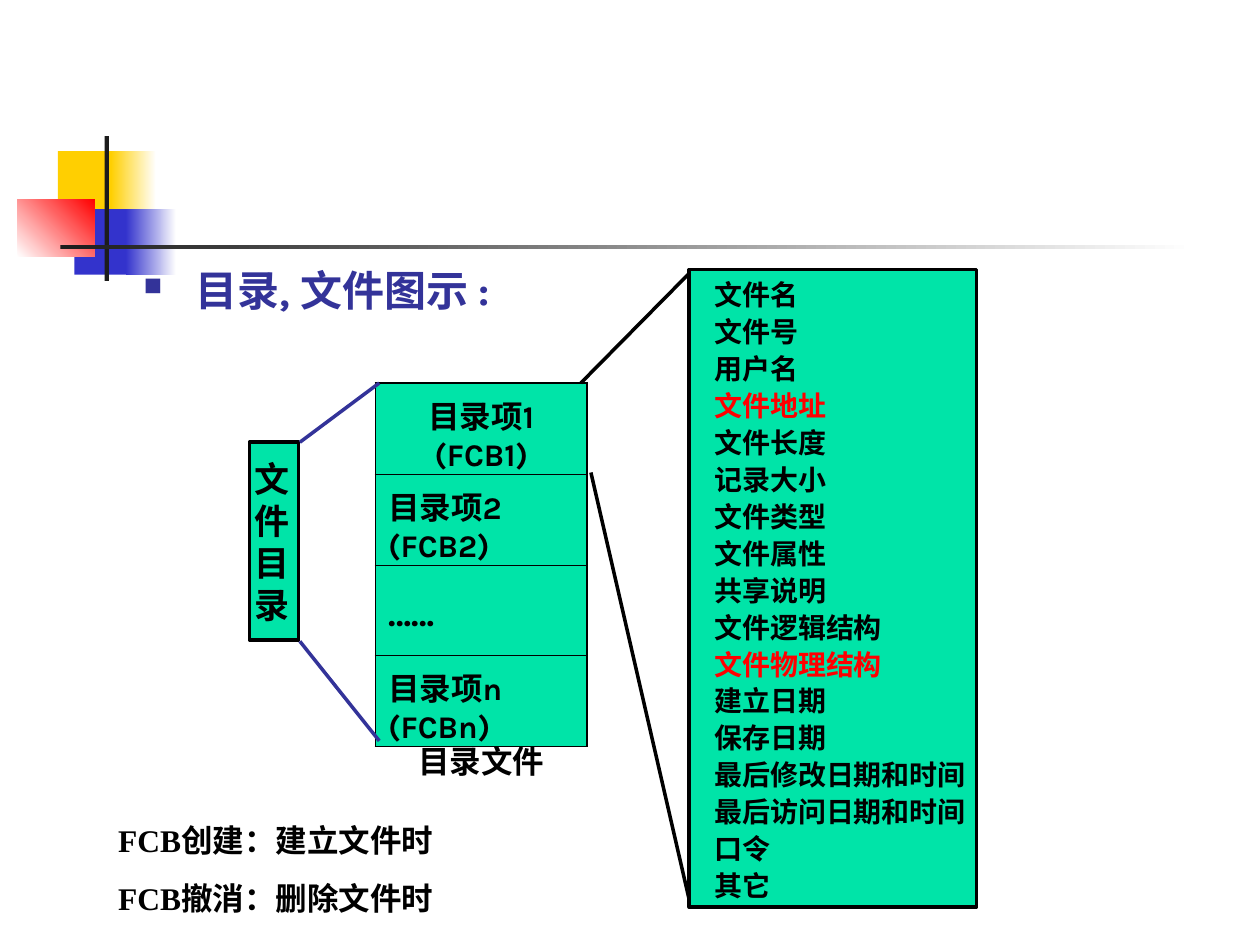
"""Build a slide on how a file directory holds its file control blocks."""
import pptx
import pptx.dml.color
import pptx.enum.shapes
import pptx.enum.text
import pptx.oxml
import pptx.oxml.ns
import pptx.util

RGB = pptx.dml.color.RGBColor
BLACK = RGB(0, 0, 0)
WHITE = RGB(255, 255, 255)
RED = RGB(255, 0, 0)
GREEN = RGB(0x00, 0xE4, 0xA8)
NAVY = RGB(0x33, 0x33, 0x99)
BLUE = RGB(0x33, 0x33, 0xCC)
GOLD = RGB(0xFF, 0xCF, 0x01)
DARK = RGB(0x1C, 0x1C, 0x1C)

ALIGN = pptx.enum.text.PP_ALIGN
ANCHOR = pptx.enum.text.MSO_ANCHOR
COLS, ROWS = 100, 75


class Sheet:
    """Hold the style and the current slide, placed on a 100 by 75 grid."""

    def __init__(self, deck):
        self.slide = deck.slides.add_slide(deck.slide_layouts[6])
        self.wide, self.high = deck.slide_width, deck.slide_height
        self.font, self.size = "Karla", 18

    def place(self, x, y, w, h):
        return self.col(x), self.row(y), self.col(w), self.row(h)

    def col(self, count):
        return round(self.wide * count / COLS)

    def row(self, count):
        return round(self.high * count / ROWS)

    def node(self, xml):
        return pptx.oxml.parse_xml(xml.replace(">", " " + pptx.oxml.ns.nsdecls("a") + ">", 1))

    def rect(self, spot, fill, blend=None, angle=0, edge=None):
        kind = pptx.enum.shapes.MSO_SHAPE.RECTANGLE
        shape = self.slide.shapes.add_shape(kind, *self.place(*spot))
        shape.shadow.inherit = False
        if blend is None:
            shape.fill.solid()
            shape.fill.fore_color.rgb = fill
        else:
            shape.fill.gradient()
            shape.fill.gradient_angle = angle
            for stop, color in zip(shape.fill.gradient_stops, (fill, blend)):
                stop.color.rgb = color
        if edge is None:
            shape.line.fill.background()
        else:
            shape.line.color.rgb = edge
            shape.line.width = pptx.util.Pt(2)
        return shape

    def label(self, spot):
        return self.slide.shapes.add_textbox(*self.place(*spot))

    def frame(self, shape, pad, anchor=ANCHOR.TOP):
        frame = shape.text_frame
        frame.word_wrap = True
        frame.vertical_anchor = anchor
        frame.margin_left, frame.margin_right = self.col(pad[0]), self.col(pad[2])
        frame.margin_top, frame.margin_bottom = self.row(pad[1]), self.row(pad[3])
        return frame

    def text(self, frame, lines, align=ALIGN.LEFT, font=None, size=None, gap=0, pitch=None):
        for i, (words, color) in enumerate(lines):
            para = frame.add_paragraph() if i else frame.paragraphs[0]
            para.alignment = align
            para.line_spacing = pitch
            if i and gap:
                para.space_before = pptx.util.Pt(gap)
            self.piece(para, words, color, font, size)

    def piece(self, para, words, color=BLACK, font=None, size=None):
        run = para.add_run()
        run.text = words
        run.font.name = font or self.font
        run.font.size = pptx.util.Pt(size or self.size)
        run.font.bold = True
        run.font.color.rgb = color

    def bullet(self, para, mark, color, share, inset):
        props = para._p.get_or_add_pPr()
        props.set("marL", str(self.col(inset)))
        props.set("indent", str(-self.col(inset)))
        for xml in (
            f'<a:buClr><a:srgbClr val="{color}"/></a:buClr>',
            f'<a:buSzPct val="{share * 1000}"></a:buSzPct>',
            f'<a:buChar char="{mark}"></a:buChar>',
        ):
            props.append(self.node(xml))

    def line(self, start, end, color):
        kind = pptx.enum.shapes.MSO_CONNECTOR.STRAIGHT
        ends = self.place(*start, *end)
        line = self.slide.shapes.add_connector(kind, *ends)
        line.line.color.rgb = color
        line.line.width = pptx.util.Pt(2)
        line._element.spPr.append(self.node("<a:effectLst></a:effectLst>"))

    def border(self, cell, side, width):
        points = pptx.util.Pt(width)
        cell._tc.get_or_add_tcPr().append(self.node(
            f'<a:ln{side} w="{points}"><a:solidFill><a:srgbClr val="{BLACK}"/>'
            f"</a:solidFill></a:ln{side}>"))

    def table(self, spot, items):
        last = len(items) - 1
        table = self.slide.shapes.add_table(len(items), 1, *self.place(*spot)).table
        table.first_row = table.horz_banding = False
        for i, (lines, align, size) in enumerate(items):
            cell = table.cell(i, 0)
            widths = {"L": 1.08, "R": 1.08, "T": 0.45 if i else 1.08,
                      "B": 0.45 if i < last else 1.08}
            for side, width in widths.items():
                self.border(cell, side, width)
            cell.fill.solid()
            cell.fill.fore_color.rgb = GREEN
            cell.vertical_anchor = ANCHOR.MIDDLE
            cell.margin_left = cell.margin_right = self.col(1)
            cell.margin_top, cell.margin_bottom = self.row(0.7), 0
            self.text(cell.text_frame, [(words, BLACK) for words in lines], align, size=size)


FIELDS = ["文件名", "文件号", "用户名", "文件地址", "文件长度", "记录大小",
          "文件类型", "文件属性", "共享说明", "文件逻辑结构", "文件物理结构",
          "建立日期", "保存日期", "最后修改日期和时间", "最后访问日期和时间",
          "口令", "其它"]
KEYS = {"文件地址", "文件物理结构"}
ITEMS = [(["目录项1", "(FCB1)"], ALIGN.CENTER, 18),
         (["目录项2 (FCB2)"], ALIGN.LEFT, 18),
         (["……"], ALIGN.LEFT, 20),
         (["目录项n (FCBn)"], ALIGN.LEFT, 18)]
HEAD = [("目录", "Arial"), (", ", "Karla"), ("文件图示 ", "Arial"), (":", "Karla")]
NOTES = ["FCB创建：建立文件时", "FCB撤消：删除文件时"]
DECOR = [((4.6, 12, 4.8, 5.2), GOLD, None, 0),
         ((8.8, 12, 3.6, 5.2), GOLD, WHITE, 0),
         ((5.9, 16.6, 4.6, 5.2), BLUE, None, 0),
         ((10, 16.6, 4, 5.2), BLUE, WHITE, 0),
         ((1.4, 15.8, 6.1, 4.6), WHITE, RED, 45),
         ((8.3, 10.8, 0.35, 11.5), DARK, None, 0),
         ((4.8, 19.45, 90, 0.35), DARK, WHITE, 0)]
LINKS = [((23.8, 35.1), (30.1, 30.4), NAVY),
         ((23.8, 50.9), (30.1, 58.8), NAVY),
         ((46.1, 30.4), (54.7, 21.7), BLACK),
         ((46.9, 37.5), (54.7, 71.4), BLACK)]


def main():
    deck = pptx.Presentation()
    deck.slide_width, deck.slide_height = pptx.util.Inches(10), pptx.util.Inches(7.5)
    sheet = Sheet(deck)
    for part in DECOR:
        sheet.rect(*part)

    block = sheet.rect((54.7, 21.4, 22.8, 50.6), GREEN, edge=BLACK)
    frame = sheet.frame(block, (2, 0.4, 0, 0.4), ANCHOR.MIDDLE)
    lines = [(words, RED if words in KEYS else BLACK) for words in FIELDS]
    sheet.text(frame, lines, font="Times New Roman", size=16, pitch=1.1)

    sheet.table((29.8, 30.4, 16.8, 28.4), ITEMS)
    name = sheet.frame(sheet.label((33.2, 58.9, 10.2, 3)), (0, 0, 0, 0))
    sheet.text(name, [("目录文件", BLACK)])

    head = sheet.frame(sheet.label((11.4, 21, 30.7, 4)), (0, 0, 0, 0)).paragraphs[0]
    sheet.bullet(head, "■", NAVY, 60, 4.1)
    for words, font in HEAD:
        sheet.piece(head, words, NAVY, font, 24)

    root = sheet.rect((19.8, 35.1, 3.9, 15.7), GREEN, edge=BLACK)
    frame = sheet.frame(root, (0.4, 1.2, 1.2, 1.2))
    sheet.text(frame, [("文件目录", BLACK)], ALIGN.CENTER, size=20)
    for link in LINKS:
        sheet.line(*link)

    notes = sheet.frame(sheet.label((8.4, 64.7, 32.3, 8.6)), (1, 0.5, 1, 0.5))
    sheet.text(notes, [(words, BLACK) for words in NOTES], font="Times New Roman", gap=11.2)
    deck.save("out.pptx")


if __name__ == "__main__":
    main()
